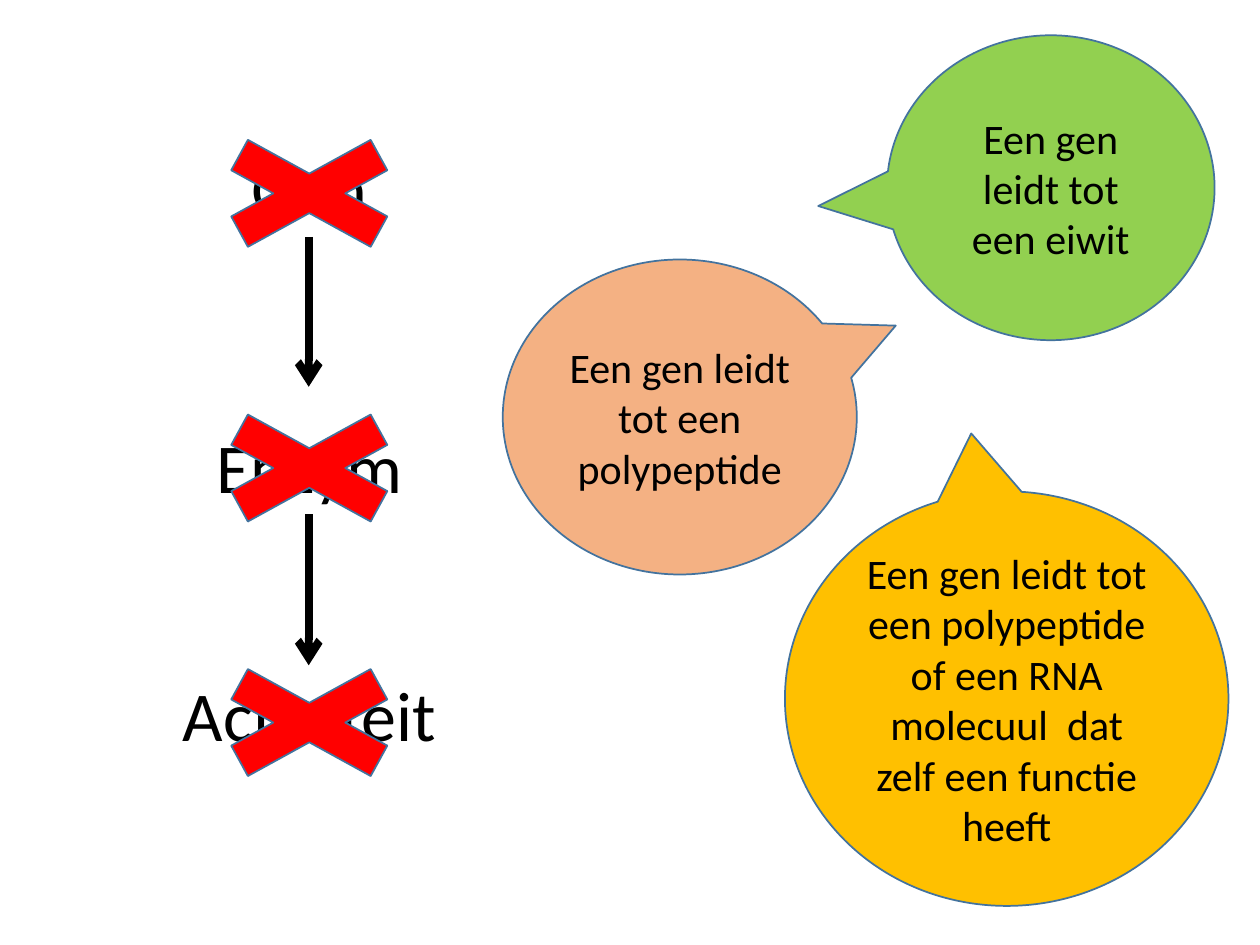
"""Build a slide on three crossed-out steps from gene to activity and three statements about genes."""
from lxml import etree
from pptx import Presentation
from pptx.dml.color import RGBColor
from pptx.enum.shapes import MSO_CONNECTOR, MSO_SHAPE
from pptx.enum.text import MSO_ANCHOR, PP_ALIGN
from pptx.oxml.ns import qn
from pptx.util import Inches, Pt

STRAIGHT = MSO_CONNECTOR.STRAIGHT
CROSS = MSO_SHAPE.MATH_MULTIPLY
CALLOUT = MSO_SHAPE.OVAL_CALLOUT
CENTER = PP_ALIGN.CENTER
MIDDLE = MSO_ANCHOR.MIDDLE


def write(box, text, size):
    box.text_frame.word_wrap = True
    para = box.text_frame.paragraphs[0]
    para.alignment = CENTER
    span = para.add_run()
    span.text = text
    for name, value in {"name": "Calibri", "size": Pt(size)}.items():
        setattr(span.font, name, value)
    span.font.color.rgb = RGBColor.from_string("000000")


def add_outlined(kind, place, fill):
    shape = page.shapes.add_shape(kind, *map(Inches, place))
    shape.shadow.inherit = False
    shape.fill.solid()
    shape.fill.fore_color.rgb = RGBColor.from_string(fill)
    shape.line.color.rgb = RGBColor.from_string("43739E")
    shape.line.width = Pt(1)
    return shape


deck = Presentation()
deck.slide_width, deck.slide_height = Inches(10), Inches(7.5)
page = deck.slides.add_slide(deck.slide_layouts[6])

steps = [("Gen", 1.1, 0.95), ("Enzym", 3.31, 3.13), ("Activiteit", 5.28, 5.15)]
for text, top, cross_top in steps:
    box = page.shapes.add_textbox(Inches(0.76), Inches(top), Inches(3.39), Inches(0.77))
    write(box, text, 40)

for start, end in [(1.88, 3.07), (4.08, 5.28)]:
    arrow = page.shapes.add_connector(STRAIGHT, Inches(2.45), Inches(start), Inches(2.45), Inches(end))
    arrow.line.color.rgb = RGBColor.from_string("000000")
    arrow.line.width = Pt(4.5)
    etree.SubElement(arrow.line._get_or_add_ln(), qn("a:tailEnd"), type="arrow")
    etree.SubElement(arrow._element.spPr, qn("a:effectLst"))

for text, top, cross_top in steps:
    add_outlined(CROSS, (1.39, cross_top, 2.13, 1.17), "FF0000")

statements = [
    ("Een gen leidt tot een eiwit", (7.04, 0.28, 2.6, 2.42), (-0.71, 0.06), "92D050"),
    ("Een gen leidt tot een polypeptide", (3.99, 2.06, 2.81, 2.5), (0.61, -0.29), "F4B183"),
    ("Een gen leidt tot een polypeptide of een RNA molecuul  dat zelf een functie heeft",
     (6.23, 3.9, 3.52, 3.29), (-0.08, -0.64), "FFC000"),
]
for text, place, pointer, fill in statements:
    bubble = add_outlined(CALLOUT, place, fill)
    bubble.adjustments[0], bubble.adjustments[1] = pointer
    bubble.text_frame.vertical_anchor = MIDDLE
    write(bubble, text, 24)

deck.save("out.pptx")
